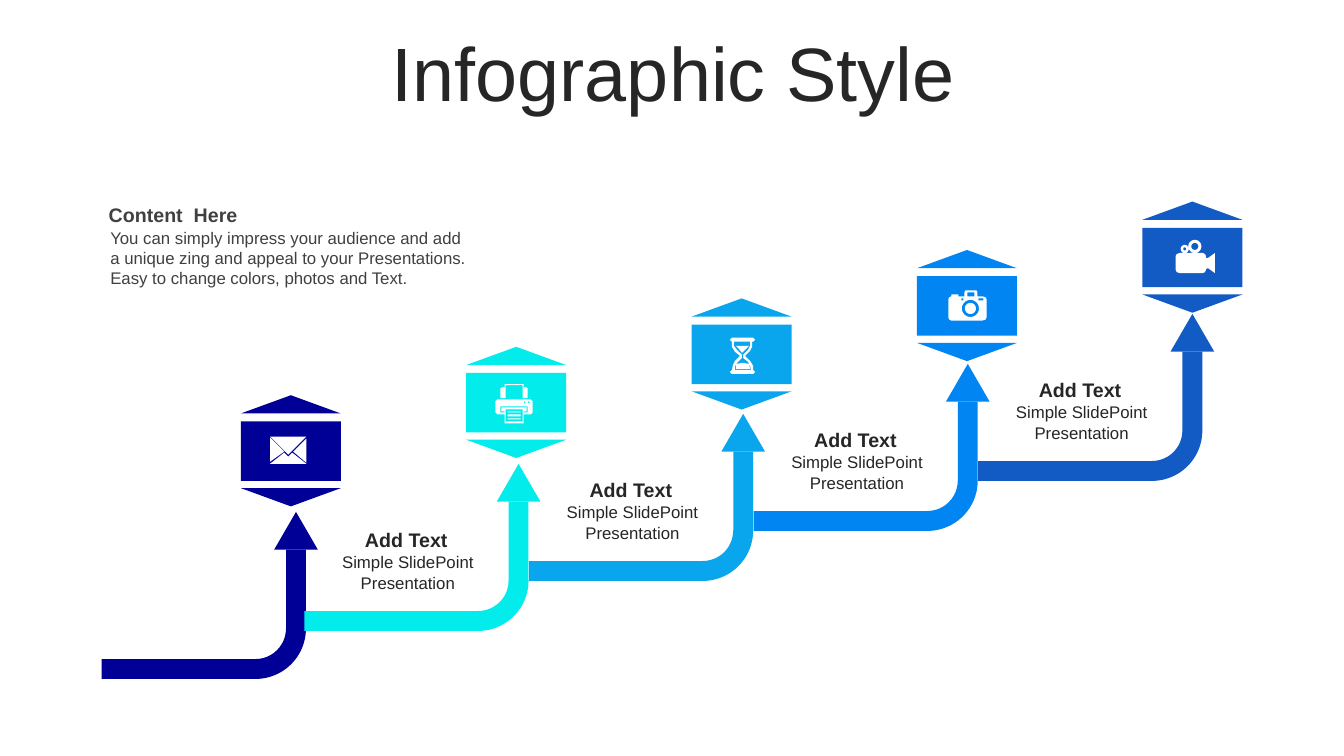
from math import cos, pi, sin

from pptx import Presentation
from pptx.dml.color import RGBColor
from pptx.enum.shapes import MSO_SHAPE
from pptx.enum.text import MSO_ANCHOR, PP_ALIGN
from pptx.util import Cm, Pt

RECTANGLE = MSO_SHAPE.RECTANGLE
TRIANGLE = MSO_SHAPE.ISOSCELES_TRIANGLE
BLOCK_ARC = MSO_SHAPE.BLOCK_ARC
TOP, MIDDLE = MSO_ANCHOR.TOP, MSO_ANCHOR.MIDDLE
LEFT, CENTER = PP_ALIGN.LEFT, PP_ALIGN.CENTER

DARK, GREY, WHITE = "262626", "404040", "FFFFFF"
STEP_COLORS = ["000096", "02ECEC", "0AA6ED", "0085F2", "125AC4"]
BADGE_WIDTH = 2.52
BAND = 0.5
ICON_GRID = Cm(0.0254)


def circle(x, y, radius):
    """Return the points of a circle."""
    return [(x + radius * cos(i * pi / 16), y + radius * sin(i * pi / 16)) for i in range(32)]


def box(x, y, width, height):
    """Return the corners of a rectangle."""
    return [(x, y), (x + width, y), (x + width, y + height), (x, y + height)]


ENVELOPE = [
    [(51, 57), (65, 68), (29, 68), (43, 57), (47, 61)],
    [(65, 43), (65, 67), (52, 56)],
    [(29, 42), (43, 56), (29, 66)],
    [(29, 41), (65, 41), (47, 59)],
]
PRINTER = [
    box(41, 64, 13, 1), box(41, 67, 13, 2), box(41, 71, 13, 1), box(39, 62, 17, 12),
    [(34, 59), (34, 65), (38, 65), (38, 64), (35, 64), (35, 60),
     (60, 60), (60, 64), (57, 64), (57, 65), (61, 65), (61, 59)],
    circle(58, 55, 0.9), circle(62, 55, 0.9),
    [(31, 52), (64, 52), (66, 54), (66, 65), (64, 67), (57, 67),
     (57, 76), (38, 76), (38, 67), (31, 67), (29, 65), (29, 54)],
    [(38, 37), (57, 37), (57, 40), (59, 40), (61, 41), (61, 51), (56, 51),
     (56, 38), (39, 38), (39, 51), (34, 51), (34, 41), (36, 40), (38, 40)],
]
HOURGLASS = [
    [(51, 64), (57, 65), (58, 70), (44, 70), (44, 65)],
    [(44, 47), (57, 47), (55, 49), (50, 54), (46, 49)],
    [(42, 43), (42, 47), (45, 51), (50, 56), (50, 59), (45, 64), (43, 67), (43, 71),
     (59, 71), (58, 67), (56, 63), (51, 59), (51, 56), (56, 51), (58, 47), (58, 43)],
    [(40, 39), (61, 39), (63, 41), (61, 43), (60, 43), (60, 48), (58, 52), (53, 57),
     (58, 62), (61, 67), (61, 71), (63, 73), (61, 75), (40, 75), (38, 73), (40, 71),
     (41, 66), (43, 62), (48, 57), (43, 53), (40, 48), (40, 43), (38, 41)],
]
CAMERA = [
    circle(53, 58, 5.5), circle(53, 58, 8.5),
    box(44, 48, 2, 2), box(61, 48, 5, 2), box(50, 42, 7, 4),
    [(48, 40), (59, 40), (60, 42), (60, 46), (65, 46), (68, 47), (69, 49), (69, 67),
     (68, 69), (65, 70), (34, 70), (32, 69), (31, 67), (31, 49), (32, 47), (34, 46),
     (34, 44), (41, 44), (41, 46), (47, 46), (47, 42)],
]
VIDEO_CAMERA = [
    circle(42, 47, 1.5), circle(42, 47, 4), circle(52, 44.5, 3.5), circle(52, 44.5, 6.5),
    [(37, 51), (60, 51), (62, 52), (63, 54), (63, 56), (65, 56), (72, 51), (72, 71),
     (65, 66), (63, 67), (63, 68), (62, 70), (60, 71), (37, 71), (34, 70), (33, 68),
     (33, 54), (34, 52)],
]
ICONS = [ENVELOPE, PRINTER, HOURGLASS, CAMERA, VIDEO_CAMERA]


def paint(shape, color):
    """Give a shape a plain fill without line or shadow."""
    shape.shadow.inherit = False
    shape.fill.solid()
    shape.fill.fore_color.rgb = RGBColor.from_string(color)
    shape.line.fill.background()
    return shape


def add_part(slide, kind, left, top, width, height, color, rotation=0):
    """Add a filled preset shape, measured in centimetres."""
    part = slide.shapes.add_shape(kind, Cm(left), Cm(top), Cm(width), Cm(height))
    part.rotation = rotation
    return paint(part, color)


def add_text(slide, text, left, top, width, height, size=12, color=DARK, bold=False,
             align=CENTER, anchor=TOP, line_spacing=None, space_before=None):
    """Add a wrapped text box with one formatted paragraph."""
    frame = slide.shapes.add_textbox(Cm(left), Cm(top), Cm(width), Cm(height)).text_frame
    frame.word_wrap = True
    frame.vertical_anchor = anchor
    paragraph = frame.paragraphs[0]
    paragraph.alignment = align
    paragraph.line_spacing = line_spacing
    paragraph.space_before = space_before
    run = paragraph.add_run()
    run.text = text
    run.font.name = "Arial"
    run.font.size = Pt(size)
    run.font.bold = bold
    run.font.color.rgb = RGBColor.from_string(color)


def add_icon(slide, outlines, left, top):
    """Draw the outlines as one white shape on the icon grid."""
    contours = [[(round(x * ICON_GRID), round(y * ICON_GRID)) for x, y in outline]
                for outline in outlines]
    builder = slide.shapes.build_freeform(*contours[0][0])
    builder.add_line_segments(contours[0][1:])
    for contour in contours[1:]:
        builder.move_to(*contour[0])
        builder.add_line_segments(contour[1:])
    paint(builder.convert_to_shape(Cm(left), Cm(top)), WHITE)


def add_badge(slide, left, top, color, icon):
    """Add a hexagonal badge in three slices with its icon."""
    add_part(slide, TRIANGLE, left, top, BADGE_WIDTH, 0.46, color)
    add_part(slide, RECTANGLE, left, top + 0.66, BADGE_WIDTH, 1.5, color)
    add_part(slide, TRIANGLE, left, top + 2.34, BADGE_WIDTH, 0.46, color, rotation=180)
    add_icon(slide, icon, left, top)


def add_arrow(slide, tip, top, bar_length, color):
    """Add a bent arrow that rises to the given tip."""
    add_part(slide, RECTANGLE, tip - 1 - bar_length, top + 3.71, bar_length, BAND, color)
    bend = add_part(slide, BLOCK_ARC, tip - 2.29, top + 1.67, 2.54, 2.54, color, rotation=90)
    bend.adjustments[0] = 162
    bend.adjustments[1] = 0
    bend.adjustments[2] = 0.198
    add_part(slide, RECTANGLE, tip - BAND / 2, top + 0.95, BAND, 2, color)
    add_part(slide, TRIANGLE, tip - 0.55, top, 1.1, 0.95, color)


def add_caption(slide, left, top):
    """Add the heading and text above an arrow's bar."""
    add_text(slide, "Add Text", left, top, 4.78, 0.86, size=14, bold=True)
    add_text(slide, "Simple SlidePoint Presentation", left + 0.04, top + 0.6, 4.78, 1.27)


def add_intro(slide, left, top):
    """Add the introduction at the upper left."""
    add_text(slide, "Content  Here", left, top, 9.58, 0.86, size=14, color=GREY,
             bold=True, align=LEFT, anchor=MIDDLE)
    add_text(slide, "You can simply impress your audience and add a unique zing and appeal "
             "to your Presentations. Easy to change colors, photos and Text.",
             left + 0.04, top + 0.63, 9.55, 1.8, color=GREY, align=LEFT)


def add_staircase(slide, left, top):
    """Add the five rising steps, with the first arrow starting at the left."""
    for step, (color, icon) in enumerate(zip(STEP_COLORS, ICONS)):
        add_badge(slide, left + 3.48 + 5.68 * step, top + 4.88 - 1.22 * step, color, icon)
        if step == 0:
            add_arrow(slide, left + 4.87, top + 7.82, 3.9, color)
            continue
        tip = left + 10.48 + 5.66 * (step - 1)
        arrow_top = top + 6.61 - 1.26 * (step - 1)
        add_arrow(slide, tip, arrow_top, 4.4, color)
        add_caption(slide, tip - 5.22, arrow_top + 1.5)


def main():
    """Build and save the slide."""
    deck = Presentation()
    deck.slide_width, deck.slide_height = Cm(33.87), Cm(19.05)
    slide = deck.slides.add_slide(deck.slide_layouts[6])
    add_text(slide, "Infographic Style", 0.89, 0.94, 32.16, 2, size=54, anchor=MIDDLE,
             line_spacing=0.9, space_before=Pt(10))
    add_intro(slide, 2.49, 4.98)
    add_staircase(slide, 2.59, 5.08)
    deck.save("out.pptx")


if __name__ == "__main__":
    main()
